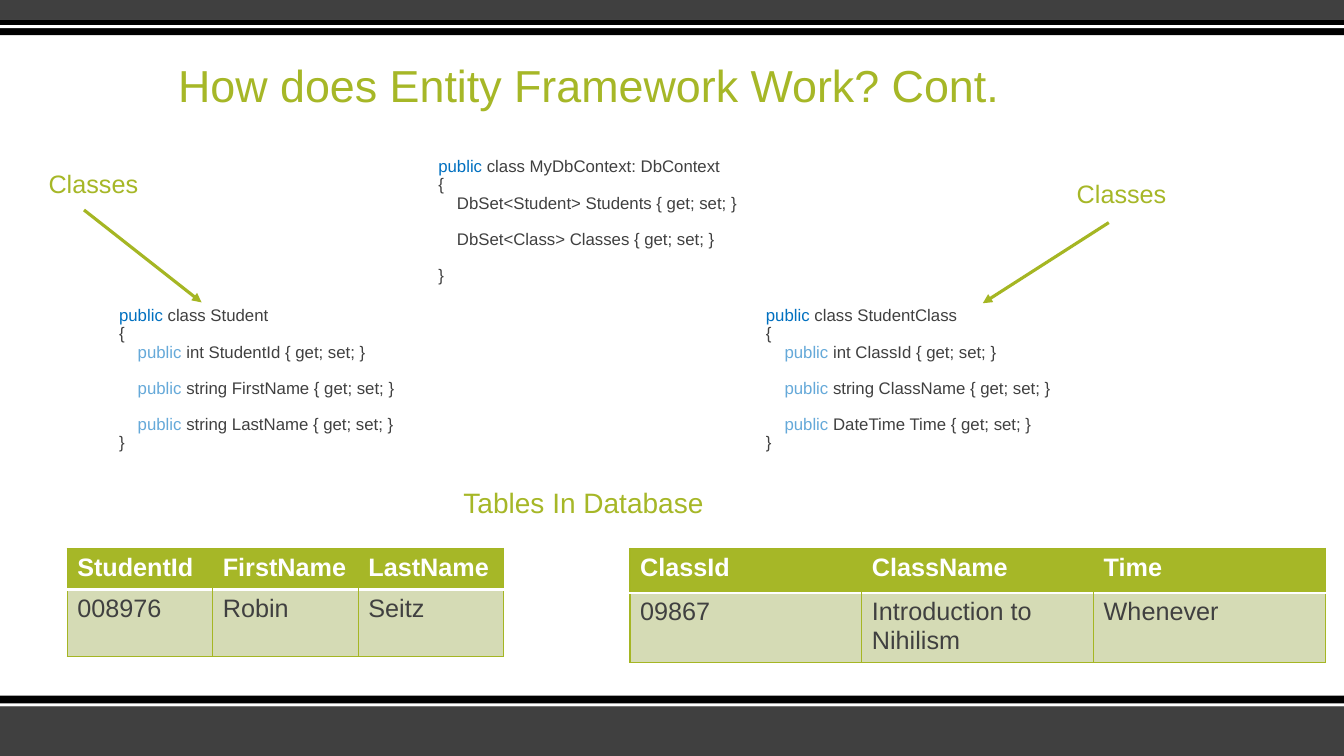
from dataclasses import dataclass
from typing import Optional

from lxml import etree
from pptx import Presentation
from pptx.dml.color import RGBColor
from pptx.enum.shapes import MSO_CONNECTOR, MSO_SHAPE
from pptx.enum.text import MSO_ANCHOR, MSO_AUTO_SIZE, PP_ALIGN
from pptx.oxml.ns import qn
from pptx.util import Inches, Pt

FONT = "Arial"
GREEN, BORDER, PALE = "A6B727", "A5B623", "D5DBB5"
DARK, BLACK, WHITE = "404040", "000000", "FFFFFF"
BLUE, SKY = "0070C0", "65A9D9"
COLUMNS, ROWS = 160, 90
LINE_PITCH = 12.9  # points between code lines


@dataclass(frozen=True)
class Band:
    top: float
    height: float
    color: str


@dataclass(frozen=True)
class Label:
    text: str
    col: float
    row: float
    width: float
    size: float


@dataclass(frozen=True)
class CodeLine:
    text: str
    keyword: str = ""
    keyword_color: str = BLUE
    indented: bool = False
    gap: bool = False


@dataclass(frozen=True)
class CodeBlock:
    col: float
    row: float
    width: float
    height: float
    lines: list[CodeLine]


@dataclass(frozen=True)
class Arrow:
    start: tuple[float, float]
    end: tuple[float, float]


@dataclass(frozen=True)
class DataTable:
    col: float
    width: float
    heights: tuple[float, float]
    cells: list[list[str]]


prs = Presentation()
prs.slide_width, prs.slide_height = Inches(13.33), Inches(7.5)
slide = prs.slides.add_slide(prs.slide_layouts[5])


def x(columns: float) -> int:
    return round(prs.slide_width * columns / COLUMNS)


def y(rows: float) -> int:
    return round(prs.slide_height * rows / ROWS)


def rgb(color: str) -> RGBColor:
    return RGBColor.from_string(color)


def add_run(paragraph, text: str, size: float, color: str, bold: bool = False) -> None:
    run = paragraph.add_run()
    run.text = text
    run.font.name, run.font.size, run.font.bold = FONT, Pt(size), bold
    run.font.color.rgb = rgb(color)


def add_text_frame(col: float, row: float, width: float, height: float):
    frame = slide.shapes.add_textbox(x(col), y(row), x(width), y(height)).text_frame
    frame.word_wrap = True
    return frame


def draw_band(band: Band) -> None:
    bar = slide.shapes.add_shape(MSO_SHAPE.RECTANGLE, 0, y(band.top), x(COLUMNS), y(band.height))
    bar.shadow.inherit = False
    bar.fill.solid()
    bar.fill.fore_color.rgb = rgb(band.color)
    bar.line.fill.background()


def draw_label(label: Label) -> None:
    paragraph = add_text_frame(label.col, label.row, label.width, 4.5).paragraphs[0]
    paragraph.line_spacing = 0.9
    add_run(paragraph, label.text, label.size, GREEN)


def draw_code(block: CodeBlock) -> None:
    frame = add_text_frame(block.col, block.row, block.width, block.height)
    for index, line in enumerate(block.lines):
        paragraph = frame.add_paragraph() if index else frame.paragraphs[0]
        paragraph.line_spacing = 0.9
        paragraph.space_before = Pt(LINE_PITCH if line.gap else 0)
        if line.indented:
            paragraph._p.get_or_add_pPr().set("marL", str(Inches(0.185)))
        if line.keyword:
            add_run(paragraph, line.keyword, 12, line.keyword_color)
        add_run(paragraph, line.text, 12, DARK)


def draw_arrow(arrow: Arrow) -> None:
    (x1, y1), (x2, y2) = arrow.start, arrow.end
    line = slide.shapes.add_connector(MSO_CONNECTOR.STRAIGHT, x(x1), y(y1), x(x2), y(y2))
    line.line.color.rgb = rgb(BORDER)
    line.line.width = Pt(2.25)
    etree.SubElement(line.line._get_or_add_ln(), qn("a:tailEnd"), type="triangle")
    etree.SubElement(line._element.spPr, qn("a:effectLst"))


def set_border(cell, side: str, color: Optional[str], width: float = 1) -> None:
    line = etree.SubElement(cell._tc.get_or_add_tcPr(), qn(f"a:ln{side}"), w=str(Pt(width)))
    if color is None:
        etree.SubElement(line, qn("a:noFill"))
    else:
        fill = etree.SubElement(line, qn("a:solidFill"))
        etree.SubElement(fill, qn("a:srgbClr"), val=color)


def draw_table(data: DataTable) -> None:
    count = len(data.cells[0])
    table = slide.shapes.add_table(len(data.cells), count, x(data.col), y(65.3),
                                   x(data.width), y(sum(data.heights))).table
    table.horz_banding = False
    for column in table.columns:
        column.width = x(data.width / count)
    for r, values in enumerate(data.cells):
        table.rows[r].height = y(data.heights[r])
        header = r == 0
        inner = None if header else BORDER
        for c, value in enumerate(values):
            cell = table.cell(r, c)
            set_border(cell, "L", BORDER if c == 0 else inner)
            set_border(cell, "R", BORDER if c == count - 1 else inner)
            set_border(cell, "T", BORDER if header else WHITE, 1 if header else 2)
            set_border(cell, "B", WHITE if header else BORDER, 2 if header else 1)
            cell.fill.solid()
            cell.fill.fore_color.rgb = rgb(GREEN if header else PALE)
            add_run(cell.text_frame.paragraphs[0], value, 18, WHITE if header else DARK, header)


def class_lines(name: str, properties: list[str]) -> list[CodeLine]:
    members = [CodeLine(f" {text} {{ get; set; }}", "public", SKY, True, index > 0)
               for index, text in enumerate(properties)]
    return [CodeLine(f" class {name}", "public"), CodeLine("{"), *members, CodeLine("}")]


# Top and bottom bands
for band in [Band(84, 6, DARK), Band(82.8, 1.3, BLACK), Band(83.75, 0.35, WHITE),
             Band(0, 2.3, DARK), Band(2.3, 1.9, BLACK), Band(3, 0.35, WHITE)]:
    draw_band(band)

# Title
title = slide.shapes.title
title.left, title.top, title.width, title.height = x(20), y(4.95), x(110), y(9)
title.text_frame.auto_size = MSO_AUTO_SIZE.NONE
title.text_frame.vertical_anchor = MSO_ANCHOR.BOTTOM
heading = title.text_frame.paragraphs[0]
heading.alignment, heading.line_spacing = PP_ALIGN.LEFT, 0.9
add_run(heading, "How does Entity Framework Work? Cont.", 32, GREEN)

# Database tables
draw_table(DataTable(8, 52, (4.9, 8), [["StudentId", "FirstName", "LastName"],
                                       ["008976", "Robin", "Seitz"]]))
draw_table(DataTable(75, 82.8, (5.3, 8.3), [["ClassId", "ClassName", "Time"],
                                            ["09867", "Introduction to Nihilism", "Whenever"]]))

# Code for the context and its two classes
context = [CodeLine(" class MyDbContext: DbContext", "public"), CodeLine("{"),
           CodeLine("DbSet<Student> Students { get; set; }", indented=True),
           CodeLine("DbSet<Class> Classes { get; set; }", indented=True, gap=True),
           CodeLine("}", gap=True)]
student = class_lines("Student", ["int StudentId", "string FirstName", "string LastName"])
student_class = class_lines("StudentClass", ["int ClassId", "string ClassName", "DateTime Time"])
for block in [CodeBlock(51, 18.25, 45, 16.4, context), CodeBlock(13, 36, 51, 18.7, student),
              CodeBlock(90, 36, 51, 18.7, student_class)]:
    draw_code(block)

# Labels and arrows
for label in [Label("Tables In Database", 54, 57.6, 32, 20),
              Label("Classes", 4.6, 19.8, 14.4, 18), Label("Classes", 127, 21, 14.4, 18)]:
    draw_label(label)
for arrow in [Arrow((132, 26.5), (117, 36.1)), Arrow((10, 25), (24, 36))]:
    draw_arrow(arrow)

prs.save("out.pptx")
